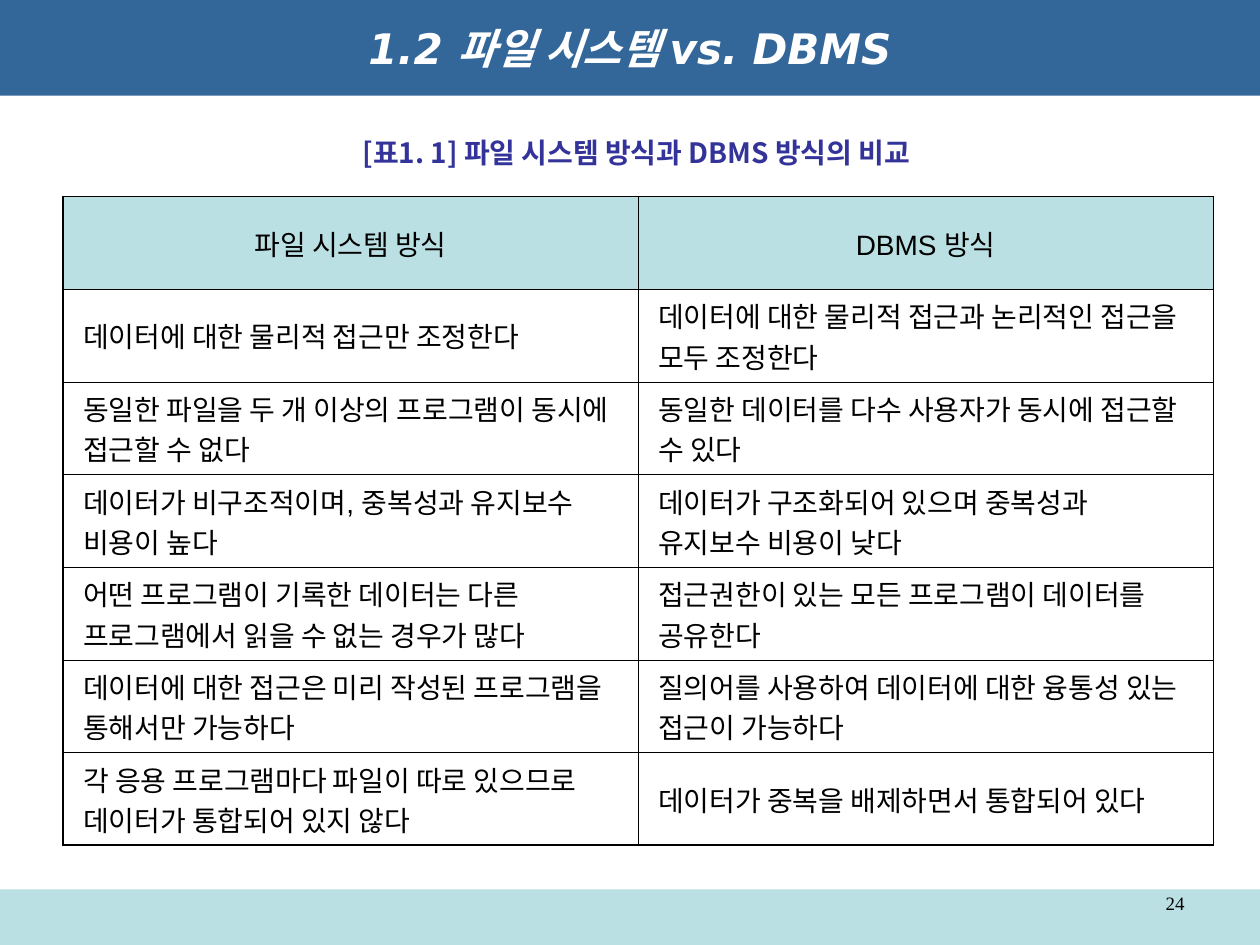
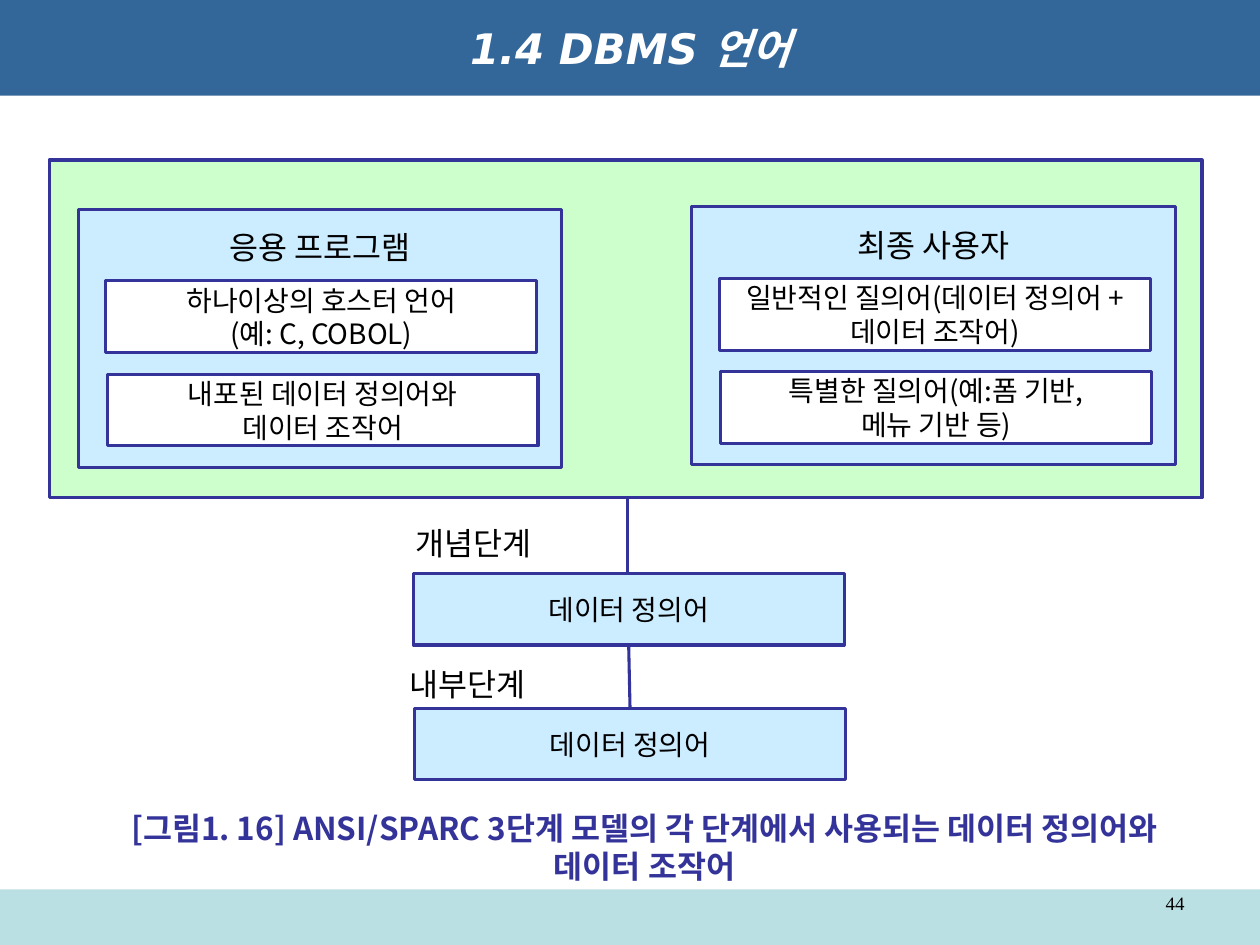
from dataclasses import dataclass

from lxml.etree import SubElement
from pptx import Presentation
from pptx.dml.color import RGBColor
from pptx.enum.shapes import MSO_CONNECTOR, MSO_SHAPE
from pptx.enum.text import MSO_ANCHOR, PP_ALIGN
from pptx.oxml.ns import qn
from pptx.util import Emu, Pt

EMU_PER_PX = 9144  # 100 px to the inch


@dataclass(frozen=True)
class Theme:
    # Colours
    title_band: str = "336699"
    pale_band: str = "BBE0E3"
    outline: str = "333399"
    backdrop: str = "CCFFCC"
    panel: str = "CCECFF"
    white: str = "FFFFFF"
    black: str = "000000"
    # Fonts
    title_font: str = "DejaVu Sans"
    table_font: str = "Arial"
    number_font: str = "Times New Roman"
    diagram_font: str = "Noto Sans CJK JP"
    korean_font: str = "Noto Sans CJK KR"
    # Type sizes and line widths in points
    title_size: float = 24
    heading_size: float = 18
    body_size: float = 16
    number_size: float = 10.8
    outline_width: float = 1.75
    outer_border: float = 1.08
    inner_border: float = 0.45


THEME = Theme()


def px(length):
    return Emu(length * EMU_PER_PX)


def write_text(frame, text, *, font, size, color=THEME.black, bold=False, italic=False,
               align=PP_ALIGN.LEFT, anchor=MSO_ANCHOR.TOP, spacing=None,
               insets=(10, 5), wrap=True):
    """Fill a text frame with one paragraph per line of text."""
    frame.word_wrap = wrap
    frame.vertical_anchor = anchor
    frame.margin_left = frame.margin_right = px(insets[0])
    frame.margin_top = frame.margin_bottom = px(insets[1])
    for index, line in enumerate(text.split("\n")):
        paragraph = frame.add_paragraph() if index else frame.paragraphs[0]
        paragraph.alignment = align
        if spacing is not None:
            paragraph.line_spacing = spacing
        run = paragraph.add_run()
        run.text = line
        run.font.size = Pt(size)
        run.font.bold = bold
        run.font.italic = italic
        run.font.color.rgb = RGBColor.from_string(color)
        run.font.name = font
        east_asian = font if "CJK" in font else THEME.korean_font
        SubElement(run.font._element, qn("a:ea"), typeface=east_asian)


class Deck:
    def __init__(self, theme):
        self.theme = theme
        self.presentation = Presentation()
        self.presentation.slide_width = px(1000)
        self.presentation.slide_height = px(750)
        self.slide = None

    def new_slide(self, title, number):
        """Start a slide with the title band, footer band and page number."""
        theme = self.theme
        self.slide = self.presentation.slides.add_slide(self.presentation.slide_layouts[6])
        self.box(0, 706, 1000, 44, theme.pale_band)
        self.text(717, 706, 233, 29, str(number), font=theme.number_font,
                  size=theme.number_size, align=PP_ALIGN.RIGHT, spacing=0.8)
        self.box(0, 0, 1000, 76, theme.title_band, title, font=theme.title_font,
                 size=theme.title_size, color=theme.white, bold=True, italic=True)

    def box(self, left, top, width, height, fill, text=None, outlined=False, **text_format):
        shape = self.slide.shapes.add_shape(
            MSO_SHAPE.RECTANGLE, px(left), px(top), px(width), px(height))
        shape.shadow.inherit = False
        shape.fill.solid()
        shape.fill.fore_color.rgb = RGBColor.from_string(fill)
        if outlined:
            self.outline(shape.line)
        else:
            shape.line.fill.background()
        if text:
            centred = {"align": PP_ALIGN.CENTER, "anchor": MSO_ANCHOR.MIDDLE}
            write_text(shape.text_frame, text, **(centred | text_format))

    def outline(self, line):
        line.color.rgb = RGBColor.from_string(self.theme.outline)
        line.width = Pt(self.theme.outline_width)

    def diagram_box(self, left, top, width, height, fill, text, **text_format):
        body = {"font": self.theme.diagram_font, "size": self.theme.body_size,
                "wrap": False, "insets": (16, 5)} | text_format
        self.box(left, top, width, height, fill, text, outlined=True,
                 spacing=Pt(1.2 * body["size"]), **body)

    def text(self, left, top, width, height, text, **text_format):
        shape = self.slide.shapes.add_textbox(px(left), px(top), px(width), px(height))
        write_text(shape.text_frame, text, **text_format)

    def caption(self, left, top, width, height, text, size):
        self.text(left, top, width, height, text, font=self.theme.korean_font, size=size,
                  color=self.theme.outline, bold=True, align=PP_ALIGN.CENTER,
                  spacing=Pt(1.2 * size))

    def line(self, start, end):
        connector = self.slide.shapes.add_connector(
            MSO_CONNECTOR.STRAIGHT, *map(px, start), *map(px, end))
        self.outline(connector.line)
        SubElement(connector._element.spPr, qn("a:effectLst"))

    def table(self, left, top, width, height, rows):
        theme = self.theme
        last_row, last_column = len(rows) - 1, len(rows[0]) - 1
        table = self.slide.shapes.add_table(
            len(rows), len(rows[0]), px(left), px(top), px(width), px(height)).table
        table.first_row = table.horz_banding = False
        for row, texts in enumerate(rows):
            for column, text in enumerate(texts):
                cell = table.cell(row, column)
                write_text(cell.text_frame, text, font=theme.table_font, size=theme.body_size,
                           align=PP_ALIGN.LEFT if row else PP_ALIGN.CENTER)
                cell.vertical_anchor = MSO_ANCHOR.MIDDLE
                cell.margin_left = cell.margin_right = px(16)
                cell.margin_top = cell.margin_bottom = px(5)
                self.borders(cell, {"lnL": column == 0, "lnR": column == last_column,
                                    "lnT": row == 0, "lnB": row == last_row})
                if row:
                    cell.fill.background()
                else:
                    cell.fill.solid()
                    cell.fill.fore_color.rgb = RGBColor.from_string(theme.pale_band)

    def borders(self, cell, outer_sides):
        properties = cell._tc.get_or_add_tcPr()
        for side, is_outer in outer_sides.items():
            width = self.theme.outer_border if is_outer else self.theme.inner_border
            border = SubElement(properties, qn(f"a:{side}"), w=str(int(Pt(width))))
            fill = SubElement(border, qn("a:solidFill"))
            SubElement(fill, qn("a:srgbClr"), val=self.theme.black)


COMPARISON = [
    ("파일 시스템 방식", "DBMS 방식"),
    ("데이터에 대한 물리적 접근만 조정한다",
     "데이터에 대한 물리적 접근과 논리적인 접근을 모두 조정한다"),
    ("동일한 파일을 두 개 이상의 프로그램이 동시에 접근할 수 없다",
     "동일한 데이터를 다수 사용자가 동시에 접근할 수 있다"),
    ("데이터가 비구조적이며, 중복성과 유지보수 비용이 높다",
     "데이터가 구조화되어 있으며 중복성과 유지보수 비용이 낮다"),
    ("어떤 프로그램이 기록한 데이터는 다른 프로그램에서 읽을 수 없는 경우가 많다",
     "접근권한이 있는 모든 프로그램이 데이터를 공유한다"),
    ("데이터에 대한 접근은 미리 작성된 프로그램을 통해서만 가능하다",
     "질의어를 사용하여 데이터에 대한 융통성 있는 접근이 가능하다"),
    ("각 응용 프로그램마다 파일이 따로 있으므로 데이터가 통합되어 있지 않다",
     "데이터가 중복을 배제하면서 통합되어 있다"),
]

# Left, top, heading and the two languages of each user panel
USER_PANELS = [
    (549, 164, "최종 사용자",
     "일반적인 질의어(데이터 정의어 +\n데이터 조작어)",
     "특별한 질의어(예:폼 기반,\n메뉴 기반 등)"),
    (62, 166, "응용 프로그램",
     "하나이상의 호스터 언어\n(예: C, COBOL)",
     "내포된 데이터 정의어와\n데이터 조작어"),
]

# Label and box positions of the lower levels
LEVELS = [
    ("개념단계", (314, 411), (328, 455)),
    ("내부단계", (309, 523), (329, 562)),
]


def build_comparison(deck):
    deck.new_slide("1.2 파일 시스템 vs. DBMS", 24)
    deck.table(50, 156, 913, 515, COMPARISON)
    deck.caption(173, 103, 664, 37, "[표1. 1] 파일 시스템 방식과 DBMS 방식의 비교",
                 deck.theme.body_size)


def build_languages(deck):
    theme = deck.theme
    language_size = (342, 57)
    deck.new_slide("1.4 DBMS 언어", 44)

    # External level: two panels, each with two languages
    deck.box(39, 127, 915, 268, theme.backdrop, outlined=True)
    for left, top, heading, first, second in USER_PANELS:
        deck.diagram_box(left, top, 384, 205, theme.panel, heading, size=theme.heading_size,
                         anchor=MSO_ANCHOR.TOP, insets=(16, 15))
        deck.diagram_box(left + 22, top + 57, *language_size, theme.white, first)
        deck.diagram_box(left + 23, top + 131, *language_size, theme.white, second)

    # Conceptual and internal levels
    for label, label_corner, box_corner in LEVELS:
        deck.diagram_box(*box_corner, *language_size, theme.panel, "데이터 정의어")
        deck.text(*label_corner, 128, 40, label, font=theme.diagram_font,
                  size=theme.heading_size, insets=(16, 5), wrap=False,
                  spacing=Pt(1.2 * theme.heading_size))
    deck.line((498, 394), (498, 454))
    deck.line((499, 513), (500, 561))

    deck.caption(63, 637, 897, 70,
                 "[그림1. 16] ANSI/SPARC 3단계 모델의 각 단계에서 사용되는 "
                 "데이터 정의어와 데이터 조작어", theme.heading_size)


def main():
    deck = Deck(THEME)
    build_comparison(deck)
    build_languages(deck)
    deck.presentation.save("out.pptx")


if __name__ == "__main__":
    main()
